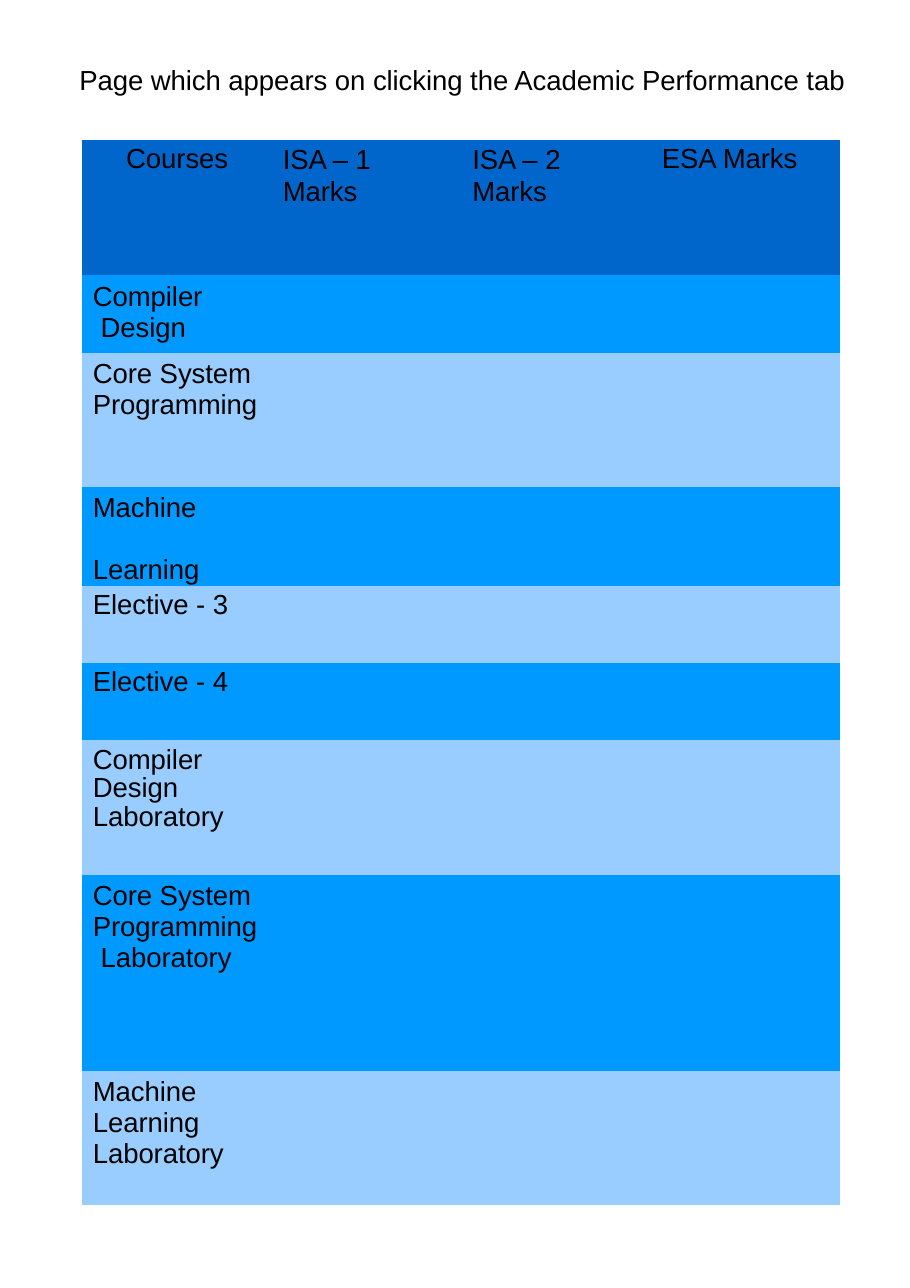
from dataclasses import dataclass

from pptx import Presentation
from pptx.dml.color import RGBColor
from pptx.enum.text import MSO_ANCHOR, PP_ALIGN
from pptx.oxml.ns import qn
from pptx.util import Cm, Pt

LEFT = PP_ALIGN.LEFT
TOP = MSO_ANCHOR.TOP
PLAIN_TABLE_STYLE = "{2D5ABB26-0587-4C30-8999-92F81FD0307C}"


@dataclass(frozen=True)
class Theme:
    font: str = "Arial"
    size: float = 18
    tracking: int = -5  # hundredths of a point
    text: RGBColor = RGBColor(0x00, 0x00, 0x00)
    header: RGBColor = RGBColor(0x00, 0x66, 0xCC)
    bands: tuple[RGBColor, RGBColor] = (
        RGBColor(0x00, 0x99, 0xFF),
        RGBColor(0x99, 0xCC, 0xFF),
    )


@dataclass(frozen=True)
class Line:
    text: str
    indent: float = 0.25
    before: float = 0
    spacing: float | Pt | None = Pt(20.2)


@dataclass(frozen=True)
class Heading:
    width: float
    lines: tuple[Line, ...]


@dataclass(frozen=True)
class Course:
    height: float
    lines: tuple[Line, ...]
    inset: float = 0.13


THEME = Theme()
HEADER_HEIGHT = 3.12
HEADER_INSET = 0.08


def isa_heading(width: float, number: int, indent: float) -> Heading:
    return Heading(width, (
        Line(f"ISA – {number}", indent, 1.9, Pt(20.9)),
        Line("Marks", indent, 0, Pt(20.9)),
    ))


def elective(number: int) -> Course:
    return Course(1.78, (Line(f"Elective - {number}", before=1.9, spacing=None),),
                  HEADER_INSET)


HEADINGS = (
    Heading(3.99, (Line("Courses", 1.02, 1.9, None),)),
    isa_heading(3.84, 1, 0.64),
    isa_heading(4.37, 2, 1.17),
    Heading(5.28, (Line("ESA Marks", 1.17, 1.9, None),)),
)
COURSES = (
    Course(1.78, (Line("Compiler", before=3.8), Line("Design", 0.43))),
    Course(3.1, (Line("Core System\nProgramming", before=3.8),)),
    Course(2.28, (Line("Machine", before=3.8), Line("Learning", before=20.2))),
    elective(3),
    elective(4),
    Course(3.1, (Line("Compiler\nDesign\nLaboratory", before=3.3, spacing=0.93),)),
    Course(4.52, (Line("Core System\nProgramming", before=3.8),
                  Line("Laboratory", 0.43))),
    Course(3.1, (Line("Machine\nLearning\nLaboratory", before=3.7),)),
)


def write_text(paragraph, text: str, *, indent: float = 0, before: float = 0,
               spacing=None) -> None:
    """Write text in the theme's format; a newline becomes a line break."""
    paragraph.text = text
    paragraph.alignment = LEFT
    paragraph.space_before = Pt(before)
    if spacing is not None:
        paragraph.line_spacing = spacing
    properties = paragraph._p.get_or_add_pPr()
    properties.set("marL", str(Cm(indent)))
    properties.set("indent", "0")
    paragraph.font.size = Pt(THEME.size)
    for run in paragraph.runs:
        run.font.name = THEME.font
        run.font.size = Pt(THEME.size)
        run.font.color.rgb = THEME.text
        run._r.get_or_add_rPr().set("spc", str(THEME.tracking))


def write_lines(text_frame, lines: tuple[Line, ...]) -> None:
    for index, line in enumerate(lines):
        paragraph = text_frame.add_paragraph() if index else text_frame.paragraphs[0]
        write_text(paragraph, line.text, indent=line.indent, before=line.before,
                   spacing=line.spacing)


def fill_cell(cell, lines: tuple[Line, ...], color: RGBColor, inset: float) -> None:
    cell.fill.solid()
    cell.fill.fore_color.rgb = color
    cell.margin_left = cell.margin_right = cell.margin_bottom = 0
    cell.margin_top = Cm(inset)
    cell.vertical_anchor = TOP
    write_lines(cell.text_frame, lines)


def add_title(slide) -> None:
    text_box = slide.shapes.add_textbox(Cm(1.8), Cm(1.42), Cm(17.78), Cm(0.84))
    frame = text_box.text_frame
    frame.word_wrap = True
    frame.margin_left = frame.margin_right = frame.margin_bottom = 0
    frame.margin_top = Cm(0.03)
    write_text(frame.paragraphs[0],
               "Page which appears on clicking the Academic Performance tab",
               indent=0.03, before=1)


def add_marks_table(slide) -> None:
    width = sum(heading.width for heading in HEADINGS)
    height = HEADER_HEIGHT + sum(course.height for course in COURSES)
    table = slide.shapes.add_table(
        len(COURSES) + 1, len(HEADINGS), Cm(1.89), Cm(3.23), Cm(width), Cm(height)
    ).table
    table.first_row = table.horz_banding = False
    table._tbl.tblPr.find(qn("a:tableStyleId")).text = PLAIN_TABLE_STYLE

    table.rows[0].height = Cm(HEADER_HEIGHT)
    for column, heading in enumerate(HEADINGS):
        table.columns[column].width = Cm(heading.width)
        fill_cell(table.cell(0, column), heading.lines, THEME.header, HEADER_INSET)

    for index, course in enumerate(COURSES):
        row = index + 1
        table.rows[row].height = Cm(course.height)
        cell = table.cell(row, 0)
        cell.merge(table.cell(row, len(HEADINGS) - 1))
        fill_cell(cell, course.lines, THEME.bands[index % 2], course.inset)


def main() -> None:
    presentation = Presentation()
    presentation.slide_width = Cm(20.98)
    presentation.slide_height = Cm(29.69)
    slide = presentation.slides.add_slide(presentation.slide_layouts[6])
    add_title(slide)
    add_marks_table(slide)
    presentation.save("out.pptx")


if __name__ == "__main__":
    main()
